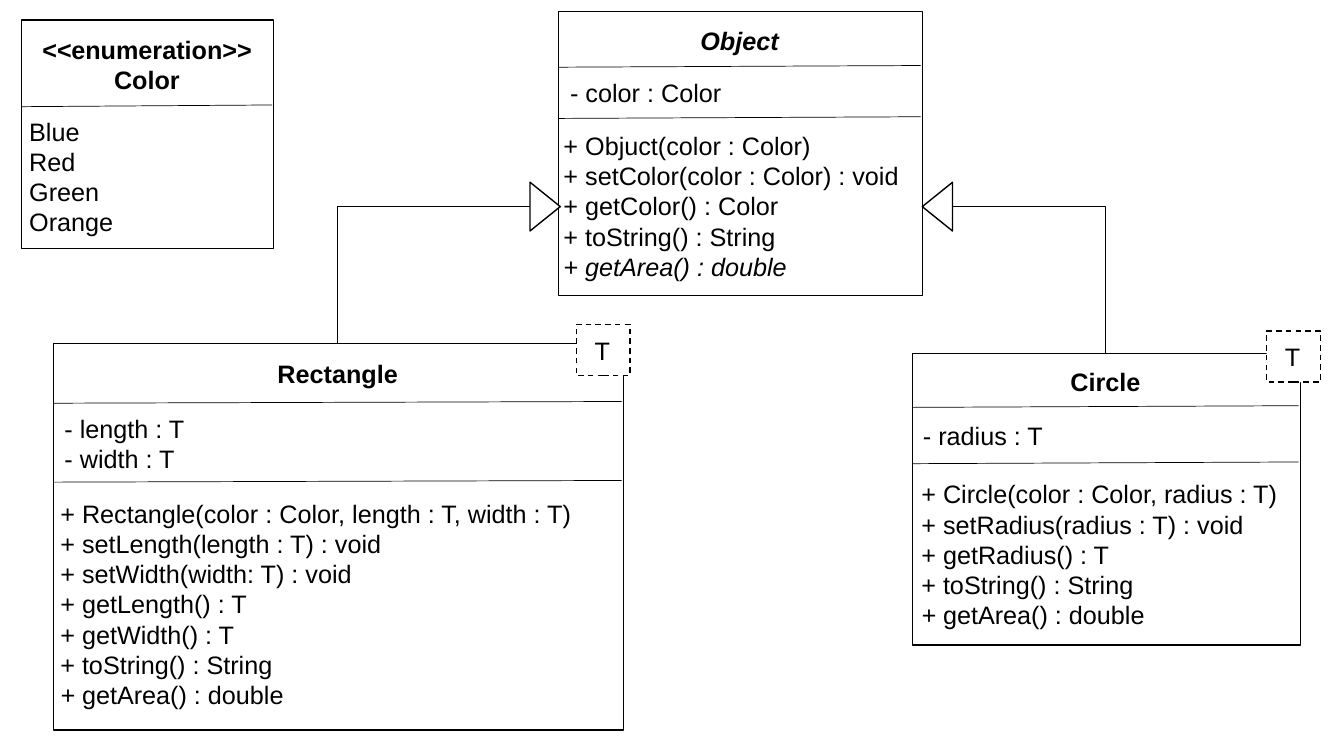
"""Builds a UML class diagram of coloured shapes on one slide."""
from dataclasses import dataclass

from lxml.etree import SubElement
from pptx import Presentation
from pptx.dml.color import RGBColor
from pptx.enum.dml import MSO_LINE
from pptx.enum.shapes import MSO_CONNECTOR, MSO_SHAPE
from pptx.enum.text import MSO_AUTO_SIZE, PP_ALIGN
from pptx.oxml.ns import qn
from pptx.util import Inches, Pt


@dataclass(frozen=True)
class Theme:
    font: str = "Arial"
    size: float = 18
    ink: RGBColor = RGBColor(0, 0, 0)
    paper: RGBColor = RGBColor(255, 255, 255)
    border: float = 1
    rule: float = 0.5


COLS, ROWS = 160, 90
LINE_ROWS, PAD_ROWS = 3.63, 1.2


def cell(n):
    return Inches(n / 12)


def write(p, text, theme, bold=False, align=PP_ALIGN.LEFT):
    p.alignment = align
    for i, part in enumerate(text.split("*")):
        if part:
            r = p.add_run()
            r.text = part
            r.font.name, r.font.size = theme.font, Pt(theme.size)
            r.font.color.rgb = theme.ink
            r.font.bold, r.font.italic = bold, i % 2 == 1


class Diagram:
    def __init__(self, prs, theme):
        self.theme = theme
        self.s = prs.slides.add_slide(prs.slide_layouts[6])

    def shape(self, shapes, kind, x, y, w, h, filled=False, dashed=False, rotation=0):
        sp = shapes.add_shape(kind, *map(cell, (x, y, w, h)))
        sp.shadow.inherit = False
        sp.rotation = rotation
        if filled:
            sp.fill.solid()
            sp.fill.fore_color.rgb = self.theme.paper
        else:
            sp.fill.background()
        sp.line.color.rgb = self.theme.ink
        sp.line.width = Pt(self.theme.border)
        if dashed:
            sp.line.dash_style = MSO_LINE.DASH

    def line(self, shapes, x1, y1, x2, y2, bent=False):
        kind = MSO_CONNECTOR.ELBOW if bent else MSO_CONNECTOR.STRAIGHT
        cx = shapes.add_connector(kind, *map(cell, (x1, y1, x2, y2)))
        cx.line.color.rgb = self.theme.ink
        cx.line.width = Pt(self.theme.rule)
        spPr = cx._element.spPr
        SubElement(spPr, qn("a:effectLst"))
        if bent:
            spPr.find(qn("a:prstGeom")).set("prst", "bentConnector2")

    def text(self, shapes, x, y, w, lines, **fmt):
        h = len(lines) * LINE_ROWS + PAD_ROWS
        tf = shapes.add_textbox(*map(cell, (x, y, w, h))).text_frame
        tf.word_wrap = True
        tf.auto_size = MSO_AUTO_SIZE.SHAPE_TO_FIT_TEXT
        for i, line in enumerate(lines):
            p = tf.add_paragraph() if i else tf.paragraphs[0]
            write(p, line, self.theme, **fmt)

    def uml_class(self, x, y, w, h, dividers, title, sections):
        shapes = self.s.shapes.add_group_shape().shapes
        self.shape(shapes, MSO_SHAPE.RECTANGLE, x, y, w, h)
        for row in dividers:
            self.line(shapes, x, row, x + w - 0.2, row - 0.2)
        top, lines = title
        self.text(shapes, x, top, w - 0.2, lines, bold=True, align=PP_ALIGN.CENTER)
        for top, shift, share, lines in sections:
            self.text(shapes, x + shift, top, w * share, lines)

    def template_tag(self, x, y):
        shapes = self.s.shapes.add_group_shape().shapes
        self.shape(shapes, MSO_SHAPE.RECTANGLE, x, y, 6.4, 6.1, filled=True, dashed=True)
        self.text(shapes, x + 1, y + 0.7, 4.8, ["T"])

    def inheritance(self, start, child, head, rotation, row=24.6):
        self.line(self.s.shapes, start, row, *child, bent=True)
        self.shape(self.s.shapes, MSO_SHAPE.ISOSCELES_TRIANGLE, head, row - 1.8,
                   5.8, 3.6, filled=True, rotation=rotation)


CLASSES = [
    (66.5, 1.4, 43.3, 33.8, (8, 14.1), (2.4, ["*Object*"]), [
        (8.6, 0.2, 0.81, ["- color : Color"]),
        (14.9, -0.6, 1, ["+ Objuct(color : Color)", "+ setColor(color : Color) : void",
                         "+ getColor() : Color", "+ toString() : String",
                         "*+ getArea() : double*"])]),
    (108.6, 42.1, 46.2, 34.7, (48.5, 55.2), (43, ["Circle"]), [
        (49.4, 0.1, 0.81, ["- radius : T"]),
        (56.4, -0.1, 1, ["+ Circle(color : Color, radius : T)",
                         "+ setRadius(radius : T) : void", "+ getRadius() : T",
                         "+ toString() : String", "*+ *getArea() : double"])]),
    (6.4, 40.9, 67.8, 46, (48, 57.4), (42.1, ["Rectangle"]), [
        (48.6, 0.1, 0.81, ["- length : T", "- width : T"]),
        (58.7, -0.4, 1, ["+ Rectangle(color : Color, length : T, width : T)",
                         "+ setLength(length : T) : void",
                         "+ setWidth(width: T) : void", "+ getLength() : T",
                         "+ getWidth() : T", "+ toString() : String",
                         "*+ *getArea() : double"])]),
]
COLOR_ENUM = (2.6, 2.4, 30, 27.2, (12.7,), (3.5, ["*<<*enumeration>>", "Color"]), [
    (13.2, -0.3, 1, ["Blue", "Red", "Green", "Orange"])])


def main():
    prs = Presentation()
    prs.slide_width, prs.slide_height = cell(COLS), cell(ROWS)
    diagram = Diagram(prs, Theme())
    for spec_row in CLASSES:
        diagram.uml_class(*spec_row)
    diagram.inheritance(63.1, (40.2, 40.9), 62, 90)
    diagram.inheritance(113.4, (131.6, 42.1), 108.7, 270)
    diagram.uml_class(*COLOR_ENUM)
    for x, y in ((68.6, 38.6), (150.8, 39.4)):
        diagram.template_tag(x, y)
    prs.save("out.pptx")


main()
